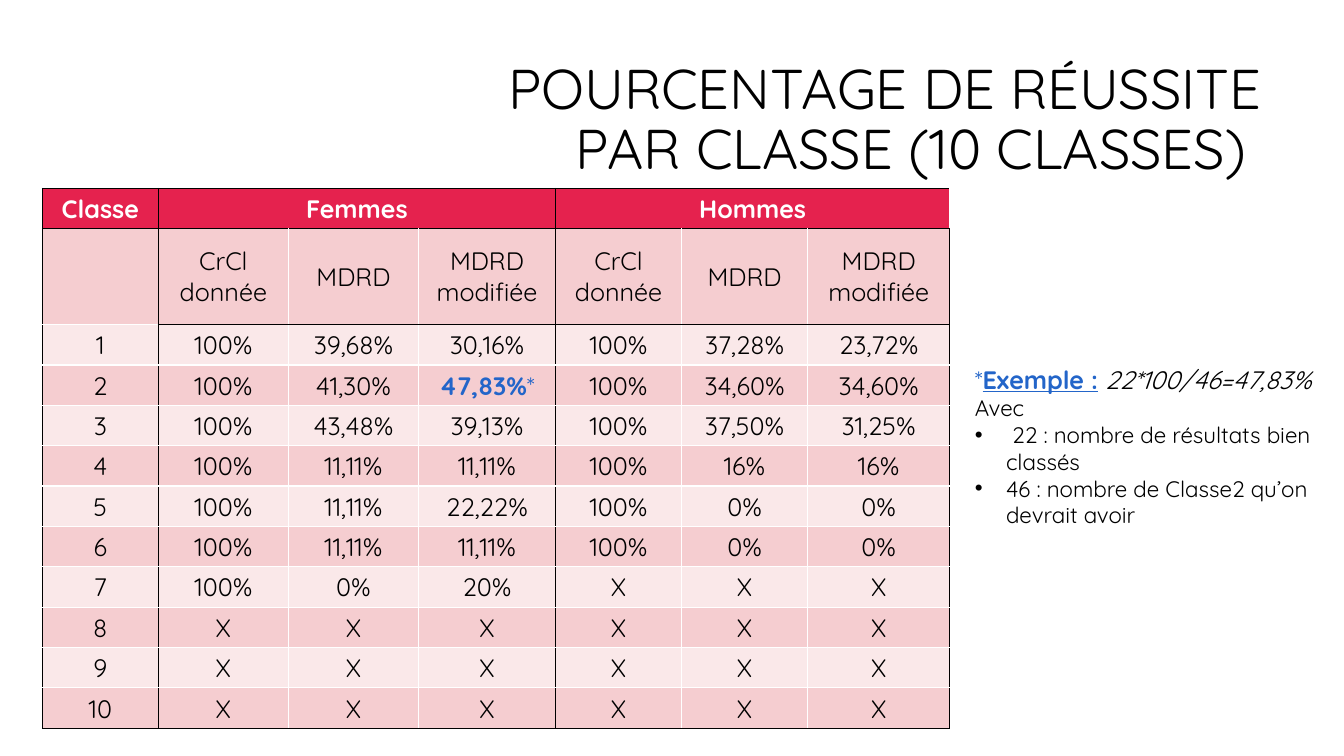
from dataclasses import dataclass

from lxml.etree import SubElement
from pptx import Presentation
from pptx.dml.color import RGBColor
from pptx.enum.text import MSO_ANCHOR, MSO_AUTO_SIZE, PP_ALIGN
from pptx.oxml.ns import qn
from pptx.util import Inches, Pt


@dataclass(frozen=True)
class Theme:
    """Colours, typeface and type sizes of the slide."""
    font: str = "Quicksand"
    black: str = "000000"
    white: str = "FFFFFF"
    header: str = "E5224E"
    bands: tuple = ("F5CDD0", "FAE8E9")
    accent: str = "2365C9"
    title_size: int = 40
    body_size: int = 18
    note_size: int = 16


THEME = Theme()
SLIDE_WIDTH, SLIDE_HEIGHT = Inches(13.33), Inches(7.5)
COLUMN_WIDTHS = (8.63, 9.68, 9.68, 10.2, 9.38, 9.38, 10.58)
ROW_HEIGHT, SUBHEADER_HEIGHT = 5.07, 12.67
GROUP_EDGES = (0, 1, 4, 7)
HEADERS = {0: "Classe", 1: "Femmes", 4: "Hommes"}
MEASURES = ("CrCl donnée", "MDRD", "MDRD modifiée")
RESULTS = (
    ("100%", "39,68%", "30,16%", "100%", "37,28%", "23,72%"),
    ("100%", "41,30%", "47,83%", "100%", "34,60%", "34,60%"),
    ("100%", "43,48%", "39,13%", "100%", "37,50%", "31,25%"),
    ("100%", "11,11%", "11,11%", "100%", "16%", "16%"),
    ("100%", "11,11%", "22,22%", "100%", "0%", "0%"),
    ("100%", "11,11%", "11,11%", "100%", "0%", "0%"),
    ("100%", "0%", "20%", "X", "X", "X"),
    *[("X",) * 6] * 3,
)
EXAMPLE_CELL = (3, 3)


def across(columns):
    """Return the width of some of the slide's 100 grid columns."""
    return round(SLIDE_WIDTH * columns / 100)


def down(rows):
    """Return the height of some of the slide's 100 grid rows."""
    return round(SLIDE_HEIGHT * rows / 100)


def place(left, top, width, height):
    """Convert grid units to a position and a size."""
    return across(left), down(top), across(width), down(height)


def apply(target, values):
    """Set each attribute named in a dict of format values."""
    for name, value in values.items():
        setattr(target, name, value)


def write(paragraph, text, size=THEME.body_size, color=THEME.black, **values):
    """Add a formatted run to a paragraph."""
    run = paragraph.add_run()
    run.text = text
    apply(run.font, {"name": THEME.font, "size": Pt(size), "bold": False, **values})
    run.font.color.rgb = RGBColor.from_string(color)


def add_text_box(slide, box, **values):
    """Add a wrapping text box and return its text frame."""
    frame = slide.shapes.add_textbox(*place(*box)).text_frame
    apply(frame, {"word_wrap": True, **values})
    return frame


def add_bullet(paragraph):
    """Give a paragraph a hanging round bullet."""
    properties = paragraph._p.get_or_add_pPr()
    indent = Inches(0.31)
    properties.set("marL", str(indent))
    properties.set("indent", str(-indent))
    SubElement(properties, qn("a:buFont"), typeface="Arial")
    SubElement(properties, qn("a:buChar"), char="•")


def add_border(cell, side, color):
    """Draw one side of a cell."""
    line = SubElement(cell._tc.get_or_add_tcPr(), qn(f"a:ln{side}"), w=str(Pt(1)))
    fill = SubElement(line, qn("a:solidFill"))
    SubElement(fill, qn("a:srgbClr"), val=color)


def style_cell(cell, row, column):
    """Set the borders, fill and alignment that a cell's place calls for."""
    def horizontal(edge):
        """Tell whether the row edge is dark."""
        return edge in (0, 1, len(RESULTS) + 2) or (edge == 2 and column > 0)

    dark = {
        "L": column in GROUP_EDGES,
        "R": column + 1 in GROUP_EDGES,
        "T": horizontal(row),
        "B": horizontal(row + 1),
    }
    for side, is_dark in dark.items():
        add_border(cell, side, THEME.black if is_dark else THEME.white)
    color = THEME.bands[(row + 1) % 2] if row else THEME.header
    cell.fill.solid()
    cell.fill.fore_color.rgb = RGBColor.from_string(color)
    cell.vertical_anchor = MSO_ANCHOR.MIDDLE
    cell.text_frame.paragraphs[0].alignment = PP_ALIGN.CENTER


def fill_cell(cell, row, column, text):
    """Write a cell's text in the style of its row."""
    paragraph = cell.text_frame.paragraphs[0]
    if (row, column) == EXAMPLE_CELL:
        write(paragraph, text, color=THEME.accent, bold=True)
        write(paragraph, "*", color=THEME.accent)
    elif row == 0 and text:
        write(paragraph, text, color=THEME.white, bold=True)
    elif text:
        write(paragraph, text)


def add_results_table(slide):
    """Add the table of success rates by class."""
    rows = [
        [HEADERS.get(column, "") for column in range(len(COLUMN_WIDTHS))],
        ["", *MEASURES * 2],
        *[[str(number), *values] for number, values in enumerate(RESULTS, 1)],
    ]
    shape = slide.shapes.add_table(
        len(rows), len(COLUMN_WIDTHS), *place(3.15, 24.93, 67.53, 71.33))
    table = shape.table
    apply(table, {"first_row": False, "horz_banding": False})
    for column, width in zip(table.columns, COLUMN_WIDTHS):
        column.width = across(width)
    for number, row in enumerate(table.rows):
        row.height = down(SUBHEADER_HEIGHT if number == 1 else ROW_HEIGHT)
    for row, texts in enumerate(rows):
        for column, text in enumerate(texts):
            cell = table.cell(row, column)
            style_cell(cell, row, column)
            fill_cell(cell, row, column, text)
    for start, end in zip(GROUP_EDGES[1:], GROUP_EDGES[2:]):
        table.cell(0, start).merge(table.cell(0, end - 1))


def add_title(slide):
    """Add the right-aligned title."""
    frame = add_text_box(slide, (23.93, 6.67, 70.67, 18.8),
                         vertical_anchor=MSO_ANCHOR.MIDDLE)
    paragraph = frame.paragraphs[0]
    apply(paragraph, {"alignment": PP_ALIGN.RIGHT, "line_spacing": 0.9})
    write(paragraph, "POURCENTAGE DE RÉUSSITE", THEME.title_size)
    paragraph.add_line_break()
    write(paragraph, " PAR CLASSE (10 CLASSES) ", THEME.title_size)


def add_example(slide):
    """Add the worked example beside the table."""
    frame = add_text_box(slide, (71.79, 47.47, 28.21, 35.07),
                         auto_size=MSO_AUTO_SIZE.SHAPE_TO_FIT_TEXT)
    formula = frame.paragraphs[0]
    write(formula, "*", color=THEME.accent)
    write(formula, "Exemple :", color=THEME.accent, bold=True, underline=True)
    write(formula, " ", color=THEME.accent, bold=True)
    write(formula, "22*100/46=47,83%", italic=True)
    write(frame.add_paragraph(), "Avec", THEME.note_size)
    for text in (" 22 : nombre de résultats bien classés",
                 "46 : nombre de Classe2 qu’on devrait avoir"):
        paragraph = frame.add_paragraph()
        add_bullet(paragraph)
        write(paragraph, text, THEME.note_size)


def main():
    """Build and save the presentation."""
    presentation = Presentation()
    apply(presentation, {"slide_width": SLIDE_WIDTH, "slide_height": SLIDE_HEIGHT})
    slide = presentation.slides.add_slide(presentation.slide_layouts[6])
    add_title(slide)
    add_results_table(slide)
    add_example(slide)
    presentation.save("out.pptx")


if __name__ == "__main__":
    main()
